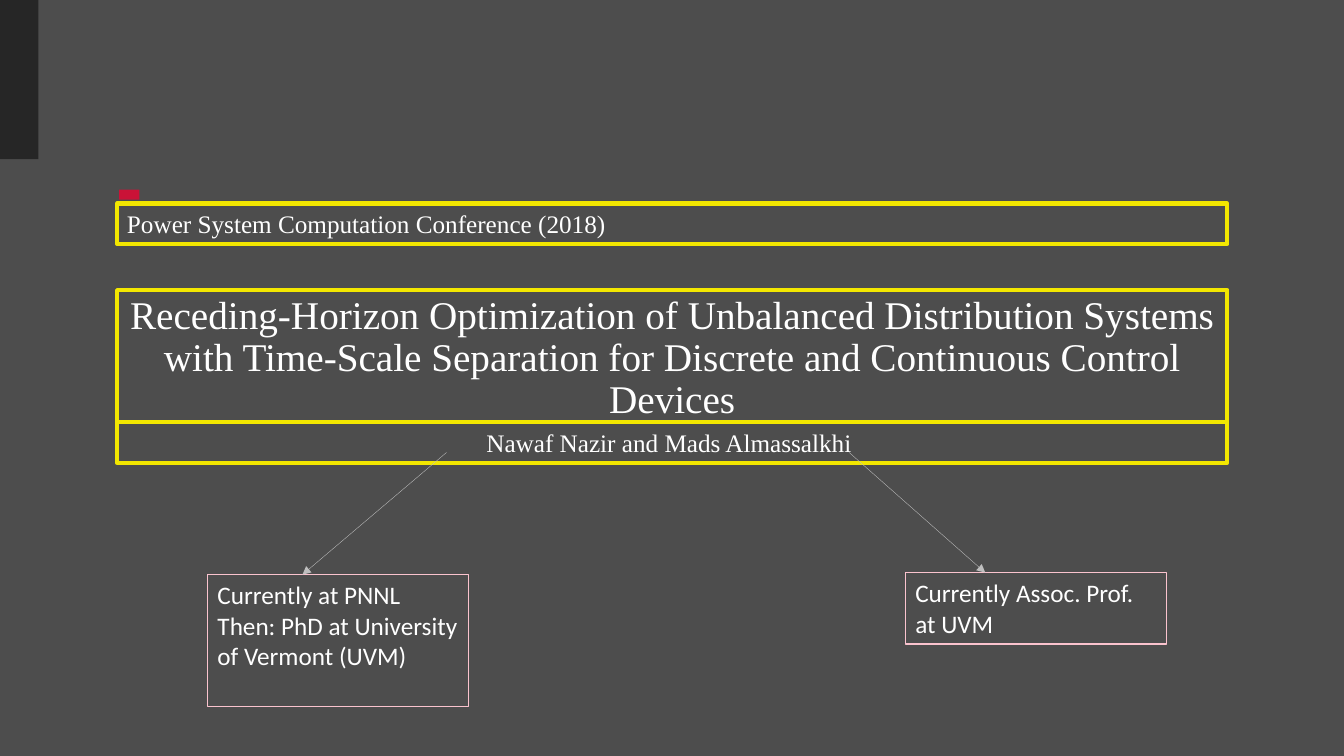
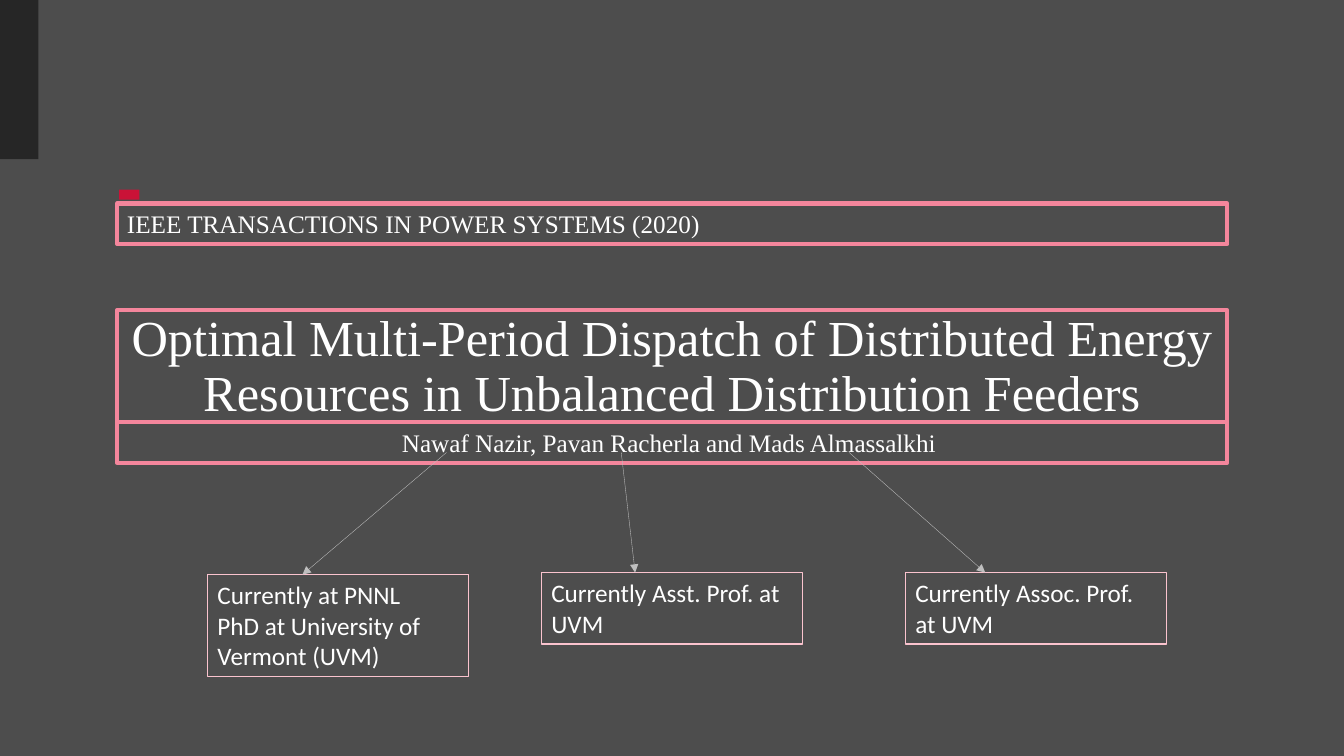
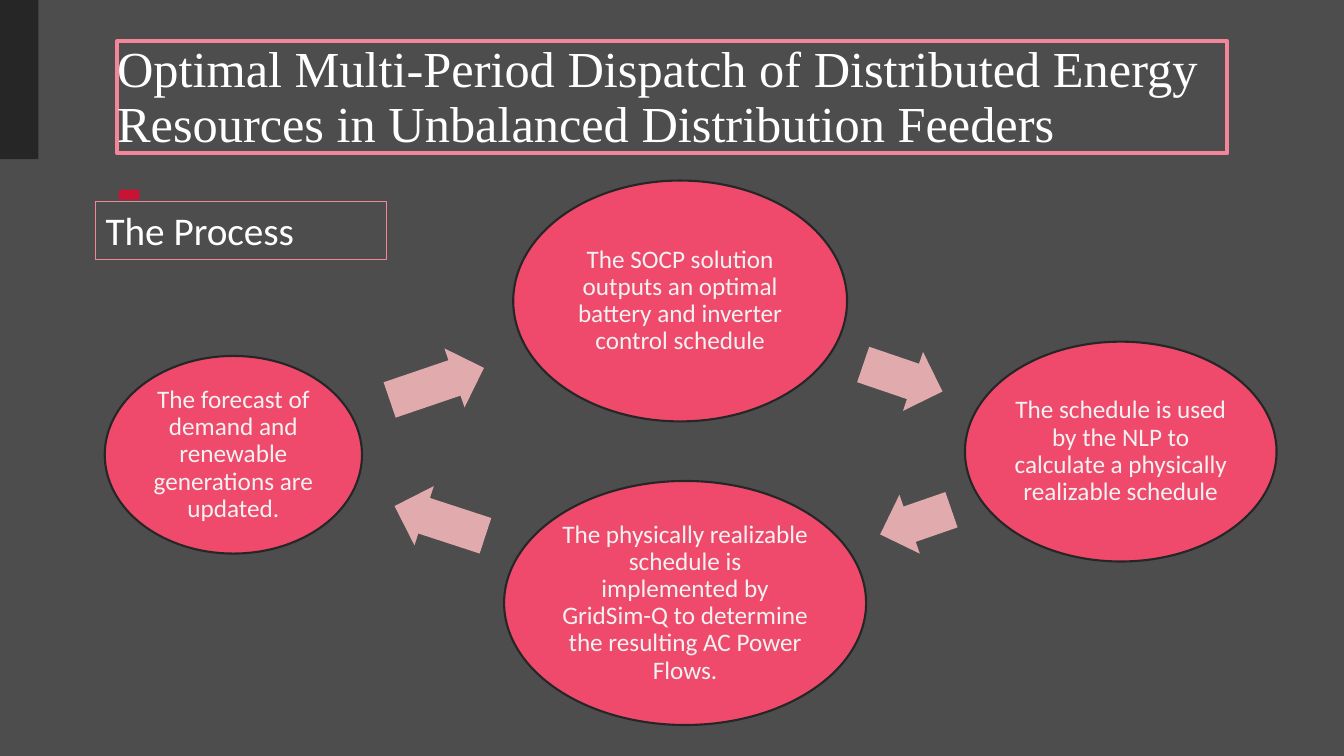
from lxml import etree
from pptx import Presentation
from pptx import util as u
from pptx.dml.color import RGBColor
from pptx.enum import shapes, text
from pptx.oxml import ns

Cm, Pt = u.Cm, u.Pt

# Colours
GREY = RGBColor(0x4D, 0x4D, 0x4D)
DARK = RGBColor(0x26, 0x26, 0x26)
SILVER = RGBColor(0xBF, 0xBF, 0xBF)
RED = RGBColor(0xCA, 0x12, 0x37)
YELLOW = RGBColor(0xF3, 0xE7, 0x00)
PINK = RGBColor(0xF4, 0x86, 0x9C)
PALE_PINK = RGBColor(0xFA, 0xC3, 0xCE)
ROSE = RGBColor(0xEF, 0x4A, 0x6B)
DUSTY_ROSE = RGBColor(0xE1, 0xAB, 0xAE)
WHITE = RGBColor(0xFF, 0xFF, 0xFF)
OFF_WHITE = RGBColor(0xF2, 0xF2, 0xF2)

SERIF, SANS = "Times New Roman", "Calibri"
LEFT, CENTER = text.PP_ALIGN.LEFT, text.PP_ALIGN.CENTER
BAND_LEFT, BAND_WIDTH, BAND_HEIGHT = 2.95, 27.97, 1.02
VENUE_TOP, AUTHORS_TOP = 5.13, 10.64


class Deck:
    """Holds the style and the slide being built."""

    def __init__(self):
        self.prs = Presentation()
        self.prs.slide_width, self.prs.slide_height = u.Inches(13.33), u.Inches(7.5)
        fill = self.prs.slide_master.background.fill
        fill.solid()
        fill.fore_color.rgb = GREY
        self.slide = None
        self.accent = None

    def new_slide(self, accent):
        first = self.slide is None
        self.slide = self.prs.slides.add_slide(self.prs.slide_layouts[5])
        self.accent = accent
        if first:
            self.master_marks()

    def master_marks(self):
        """Put the side bar and the red mark on the slide master."""
        marks = [((0, 0, 0.97, 4.01), DARK), ((3, 4.78, 0.51, 0.25), RED)]
        for number, (box, color) in enumerate(marks, 101):
            mark = self.shape(shapes.MSO_SHAPE.RECTANGLE, box, color)
            mark.element.xpath("./p:nvSpPr/p:cNvPr")[0].set("id", str(number))
            self.prs.slide_master.shapes.element.append(mark.element)

    def shape(self, kind, box, color):
        shape = self.slide.shapes.add_shape(kind, *map(Cm, box))
        shape.shadow.inherit = False
        shape.fill.solid()
        shape.fill.fore_color.rgb = color
        shape.line.fill.background()
        return shape

    def outline(self, shape, color, width):
        shape.line.color.rgb = color
        shape.line.width = Pt(width)

    def set_text(self, shape, words, font, size, align=LEFT, color=WHITE,
                 spacing=None, inset=None, anchor=text.MSO_ANCHOR.TOP):
        frame = shape.text_frame
        frame.word_wrap = True
        frame.auto_size = text.MSO_AUTO_SIZE.NONE
        frame.vertical_anchor = anchor
        if inset is not None:
            frame.margin_left = frame.margin_right = Cm(inset)
            frame.margin_top = frame.margin_bottom = Cm(inset)
        paragraph = frame.paragraphs[0]
        paragraph.text = words
        paragraph.alignment = align
        if spacing:
            paragraph.line_spacing = spacing
        paragraph.font.name = font
        paragraph.font.size = Pt(size)
        paragraph.font.color.rgb = color

    def title(self, words, top, height, size, align):
        title = self.slide.shapes.title
        title.left, title.top = Cm(BAND_LEFT), Cm(top)
        title.width, title.height = Cm(BAND_WIDTH), Cm(height)
        self.outline(title, self.accent, 3)
        self.set_text(title, words, SERIF, size, align, spacing=0.9, inset=0,
                      anchor=text.MSO_ANCHOR.BOTTOM)

    def framed_text(self, words, box, font, size, color, width, align=LEFT):
        label = self.slide.shapes.add_textbox(*map(Cm, box))
        self.outline(label, color, width)
        self.set_text(label, words, font, size, align)

    def band(self, words, top, align=LEFT):
        self.framed_text(words, (BAND_LEFT, top, BAND_WIDTH, BAND_HEIGHT),
                         SERIF, 18, self.accent, 3, align)

    def author_note(self, words, left, top, height, start_x, end_x):
        """A framed note with an arrow from the author's name to it."""
        self.framed_text(words, (left, top, 6.58, height), SANS, 18, PALE_PINK, 0.75)
        arrow = self.slide.shapes.add_connector(
            shapes.MSO_CONNECTOR.STRAIGHT, *map(Cm, (start_x, 11.4, end_x, top)))
        self.outline(arrow, SILVER, 0.25)
        properties = arrow.element.spPr
        etree.SubElement(properties.find(ns.qn("a:ln")), ns.qn("a:tailEnd"), type="triangle")
        etree.SubElement(properties, ns.qn("a:effectLst"))

    def paper(self, accent, venue, title, title_height, title_size, authors, notes):
        self.new_slide(accent)
        self.title(title, AUTHORS_TOP - title_height, title_height, title_size, CENTER)
        self.band(authors, AUTHORS_TOP, CENTER)
        self.band(venue, VENUE_TOP)
        for note in notes:
            self.author_note(*note)

    def step(self, words, box):
        step = self.shape(shapes.MSO_SHAPE.OVAL, box, ROSE)
        self.outline(step, DARK, 1.5)
        self.set_text(step, words, SANS, 18, CENTER, OFF_WHITE, 0.9, 0.08,
                      text.MSO_ANCHOR.MIDDLE)

    def step_arrow(self, left, top, width, angle):
        arrow = self.shape(shapes.MSO_SHAPE.RIGHT_ARROW, (left, top, width, 1.57), DUSTY_ROSE)
        arrow.adjustments[0], arrow.adjustments[1] = 0.6, 0.5
        arrow.rotation = angle


def main():
    deck = Deck()
    dispatch_title = ("Optimal Multi-Period Dispatch of Distributed Energy "
                      "Resources in Unbalanced Distribution Feeders")
    almassalkhi = ("Currently Assoc. Prof. at UVM", 22.81, 14.43, 1.8, 21.39, 24.82)

    # Conference paper
    deck.paper(
        YELLOW, "Power System Computation Conference (2018)",
        "Receding-Horizon Optimization of Unbalanced Distribution Systems with "
        "Time-Scale Separation for Discrete and Continuous Control Devices",
        3.33, 28, "Nawaf Nazir and Mads Almassalkhi ",
        [("Currently at PNNL\vThen: PhD at University of Vermont (UVM)",
          5.23, 14.48, 3.33, 11.25, 7.62),
         almassalkhi])

    # Journal paper
    deck.paper(
        PINK, "IEEE TRANSACTIONS IN POWER SYSTEMS (2020)", dispatch_title,
        2.82, 36, "Nawaf Nazir, Pavan Racherla and Mads Almassalkhi ",
        [("Currently at PNNL\vPhD at University of Vermont (UVM)",
          5.23, 14.48, 2.57, 11.25, 7.62),
         ("Currently Asst. Prof. at UVM", 13.64, 14.43, 1.8, 15.65, 16),
         almassalkhi])

    # Process cycle, clockwise from the top
    deck.new_slide(PINK)
    deck.title(dispatch_title, 1.04, 2.82, 36, LEFT)
    cycle = [
        ("The SOCP solution outputs an optimal battery and inverter control schedule",
         (12.93, 4.55, 8.41, 6.07), (21.69, 8.74, 2.11, 18.8)),
        ("The schedule is used by the NLP to calculate a physically realizable schedule",
         (24.31, 8.61, 7.85, 5.54), (22.12, 12.37, 1.9, 160.9)),
        ("The physically realizable schedule is implemented by GridSim-Q to determine "
         "the resulting AC Power Flows.",
         (12.7, 12.12, 9.12, 6.15), (9.88, 12.34, 2.41, 198.1)),
        ("The forecast of demand and renewable generations are updated.",
         (2.64, 8.97, 6.48, 4.98), (9.75, 8.89, 2.51, 341.2)),
    ]
    for words, oval, arrow in cycle:
        deck.step(words, oval)
        deck.step_arrow(*arrow)
    deck.framed_text("The Process", (2.41, 5.08, 7.34, 1.45), SANS, 28, PINK, 0.75)

    deck.prs.save("out.pptx")


if __name__ == "__main__":
    main()
